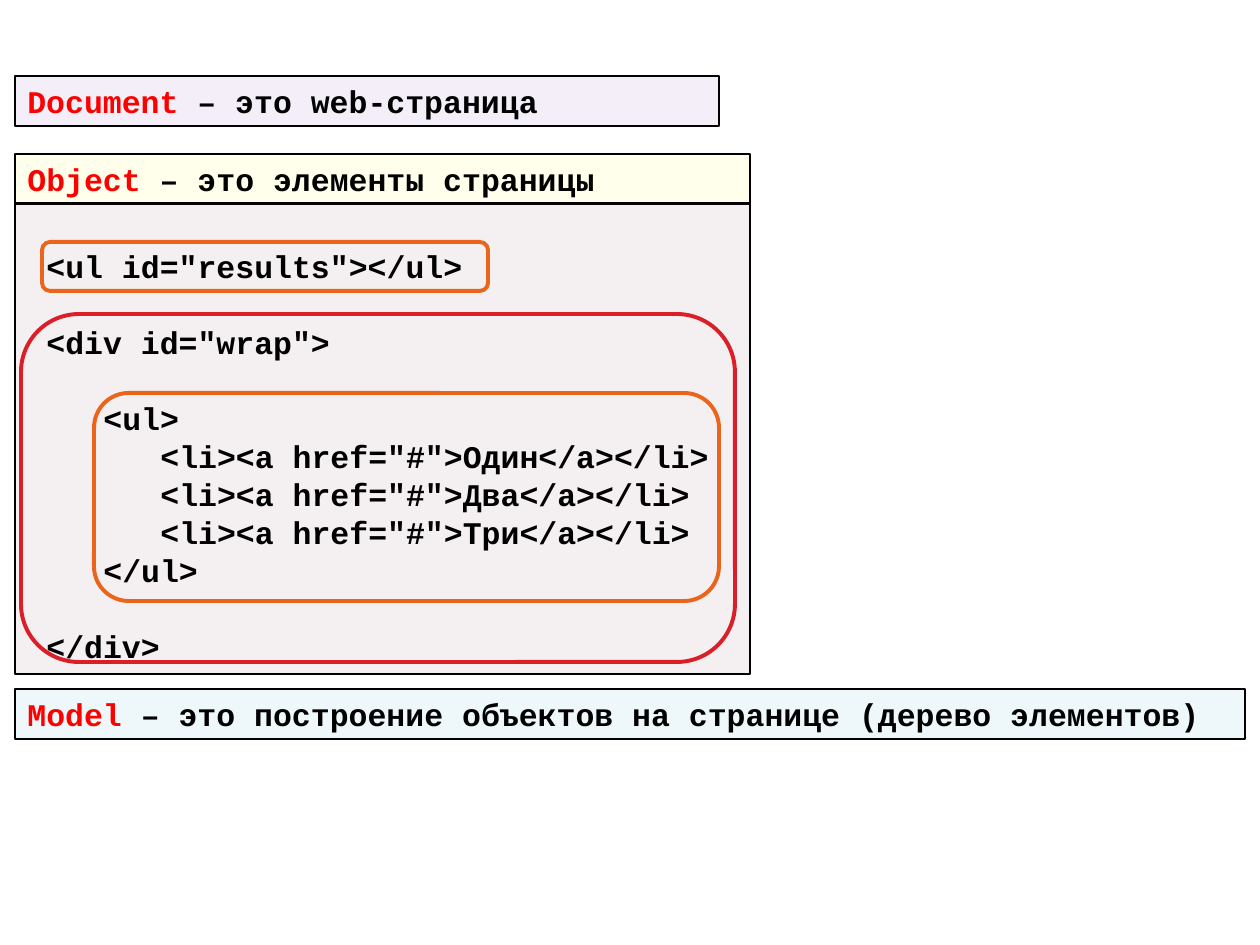
from dataclasses import dataclass

from lxml import etree
from pptx import Presentation
from pptx.dml.color import RGBColor
from pptx.enum.shapes import MSO_SHAPE
from pptx.enum.text import MSO_ANCHOR, PP_ALIGN
from pptx.oxml.ns import qn
from pptx.util import Inches, Pt

RECT, ROUND = MSO_SHAPE.RECTANGLE, MSO_SHAPE.ROUNDED_RECTANGLE
TOP, MIDDLE, LEFT = MSO_ANCHOR.TOP, MSO_ANCHOR.MIDDLE, PP_ALIGN.LEFT


@dataclass(frozen=True)
class Theme:
    font: str = "Courier New"
    size: int = 18
    ink: str = "000000"
    term: str = "FF0000"
    violet: str = "7030A0"
    yellow: str = "FFFF00"
    teal: str = "2DA2BF"
    wine: str = "7D3C4A"
    orange: str = "EB641B"
    red: str = "DA1F28"
    tint: int = 8
    thin: float = 1.5
    thick: float = 2.25


THEME = Theme()
EDGE, WIDE, HEAD = 15, 735, 50
PITCH = 38
CHAR, STEP = 19, 57

# level of indent, blank line above, text
CODE = [
    (0, False, '<ul id="results"></ul>'),
    (0, True, '<div id="wrap">'),
    (1, True, "<ul>"),
    (2, False, '<li><a href="#">Один</a></li>'),
    (2, False, '<li><a href="#">Два</a></li>'),
    (2, False, '<li><a href="#">Три</a></li>'),
    (1, False, "</ul>"),
    (0, True, "</div>"),
]


def px(n):
    return Inches(n / 126)


def rgb(code):
    return RGBColor.from_string(code)


def outline(slide, kind, box, color, width):
    shape = slide.shapes.add_shape(kind, *map(px, box))
    shape.shadow.inherit = False
    shape.fill.background()
    shape.line.color.rgb = rgb(color)
    shape.line.width = Pt(width)
    return shape


def panel(slide, box, color, anchor):
    """Add a black-edged box with a faint tint and return its text frame."""
    shape = outline(slide, RECT, box, THEME.ink, THEME.thin)
    shape.fill.solid()
    shape.fill.fore_color.rgb = rgb(color)
    tone = shape.fill._xPr.find(qn("a:solidFill"))[0]
    etree.SubElement(tone, qn("a:alpha"), val=str(THEME.tint * 1000))
    frame = shape.text_frame
    frame.word_wrap = True
    frame.vertical_anchor = anchor
    return frame


def style(para):
    para.alignment = LEFT
    para.line_spacing = px(PITCH)
    font = para.font
    font.name, font.size, font.bold = THEME.font, Pt(THEME.size), True
    font.color.rgb = rgb(THEME.ink)


def banner(slide, box, color, term, rest):
    para = panel(slide, box, color, MIDDLE).paragraphs[0]
    style(para)
    run = para.add_run()
    run.text = term
    run.font.color.rgb = rgb(THEME.term)
    para.add_run().text = rest


def listing(slide, box, color):
    """Add the code panel and the frames round its elements."""
    frame = panel(slide, box, color, TOP)
    frame.margin_top = px(6 + PITCH)
    for i, (level, gap, text) in enumerate(CODE):
        para = frame.add_paragraph() if i else frame.paragraphs[0]
        style(para)
        para.add_run().text = text
        para.space_before = px(PITCH if gap else 0)
        para._p.get_or_add_pPr().set("marL", str(px(CHAR + STEP * level)))

    left, top, width, height = box
    marks = [
        (27, 39, 446, 49, THEME.orange),
        (79, 190, 625, 208, THEME.orange),
        (6, 111, 714, 348, THEME.red),
    ]
    for x, y, w, h, tone in marks:
        outline(slide, ROUND, (left + x, top + y, w, h), tone, THEME.thick)


def main():
    deck = Presentation()
    deck.slide_width, deck.slide_height = Inches(10), Inches(7.5)
    slide = deck.slides.add_slide(deck.slide_layouts[6])
    banner(slide, (EDGE, 76, 704, HEAD), THEME.violet,
           "Document", " – это web-страница")
    banner(slide, (EDGE, 689, 1230, HEAD), THEME.teal,
           "Model", " – это построение объектов на странице (дерево элементов)")
    banner(slide, (EDGE, 154, WIDE, HEAD), THEME.yellow,
           "Object", " – это элементы страницы")
    listing(slide, (EDGE, 203, WIDE, 471), THEME.wine)
    deck.save("out.pptx")


if __name__ == "__main__":
    main()
